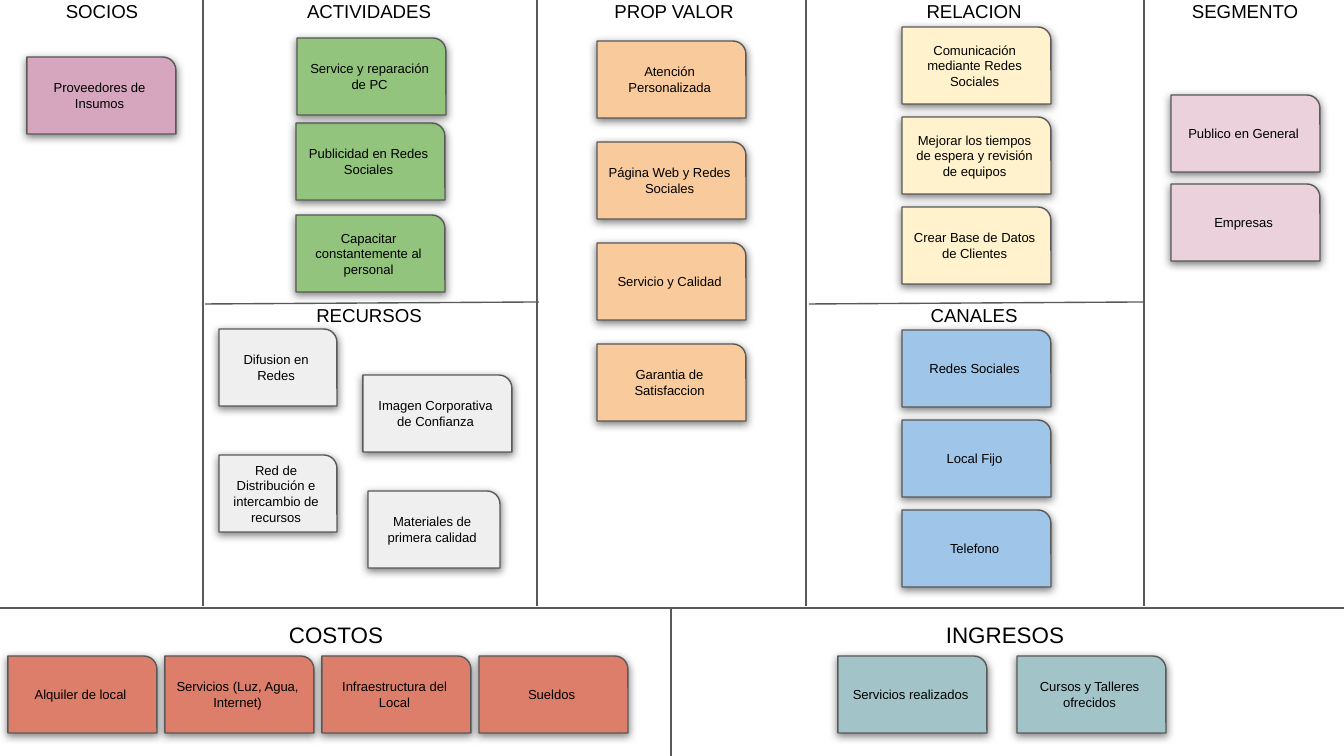
from lxml import etree
from pptx import Presentation
from pptx.dml.color import RGBColor
from pptx.enum.shapes import MSO_CONNECTOR, MSO_SHAPE
from pptx.enum.text import MSO_ANCHOR, PP_ALIGN
from pptx.oxml.ns import qn
from pptx.util import Emu, Pt

STRAIGHT = MSO_CONNECTOR.STRAIGHT
ROUND_CORNER = MSO_SHAPE.ROUND_1_RECTANGLE
CENTER = PP_ALIGN.CENTER
TOP, MIDDLE = MSO_ANCHOR.TOP, MSO_ANCHOR.MIDDLE

SCALE = 914400 / 134.4
WIDTH, HEIGHT = 1344, 756
NOTE_WIDTH, NOTE_HEIGHT = 149, 77
HEADING_WIDTH, HEADING_HEIGHT = 204, 48

BLACK = RGBColor(0x00, 0x00, 0x00)
GRAY = RGBColor(0x59, 0x59, 0x59)
SILVER = RGBColor(0xEF, 0xEF, 0xEF)
PINK = RGBColor(0xEA, 0xD1, 0xDC)
MAUVE = RGBColor(0xD5, 0xA6, 0xBD)
RED = RGBColor(0xDD, 0x7E, 0x6B)
BLUE = RGBColor(0x9F, 0xC5, 0xE8)
YELLOW = RGBColor(0xFF, 0xF2, 0xCC)
ORANGE = RGBColor(0xF9, 0xCB, 0x9C)
GREEN = RGBColor(0x93, 0xC4, 0x7D)
TEAL = RGBColor(0xA2, 0xC4, 0xC9)


def px(value):
    return Emu(round(value * SCALE))


def write(frame, text, size, anchor, side, top, bottom):
    frame.word_wrap = True
    frame.vertical_anchor = anchor
    frame.margin_left = frame.margin_right = px(side)
    frame.margin_top, frame.margin_bottom = px(top), px(bottom)
    para = frame.paragraphs[0]
    para.alignment = CENTER
    span = para.add_run()
    span.text = text
    span.font.name = "Arial"
    span.font.size = Pt(size)
    span.font.color.rgb = BLACK


class Canvas:
    """Draws the business model canvas on one slide in a shared style."""

    def __init__(self, page):
        self.shapes = page.shapes

    def outline(self, line):
        line.color.rgb = GRAY
        line.width = Pt(0.75)

    def divider(self, x1, y1, x2, y2):
        line = self.shapes.add_connector(STRAIGHT, px(x1), px(y1), px(x2), px(y2))
        self.outline(line.line)
        etree.SubElement(line._element.spPr, qn("a:effectLst"))

    def heading(self, text, x, y, size=10, top=0):
        box = self.shapes.add_textbox(px(x), px(y), px(HEADING_WIDTH), px(HEADING_HEIGHT))
        write(box.text_frame, text, size, TOP, side=13, top=top, bottom=13)

    def note(self, text, x, y, fill, width=NOTE_WIDTH):
        box = self.shapes.add_shape(ROUND_CORNER, px(x), px(y), px(width), px(NOTE_HEIGHT))
        box.adjustments[0] = 0.17
        box.fill.solid()
        box.fill.fore_color.rgb = fill
        self.outline(box.line)
        self.shadow(box)
        write(box.text_frame, text, 7, MIDDLE, side=7, top=0, bottom=0)

    def shadow(self, box):
        box.shadow.inherit = False
        effects = box._element.spPr.find(qn("a:effectLst"))
        outer = etree.SubElement(effects, qn("a:outerShdw"), blurRad=str(Pt(4.5)),
                                 dist=str(Pt(1.5)), dir="5400000", algn="bl", rotWithShape="0")
        color = etree.SubElement(outer, qn("a:srgbClr"), val=str(BLACK))
        etree.SubElement(color, qn("a:alpha"), val="50000")

    def series(self, texts, x, y, fill, across=0, down=0):
        for index, text in enumerate(texts):
            self.note(text, x + index * across, y + index * down, fill)


deck = Presentation()
deck.slide_width, deck.slide_height = px(WIDTH), px(HEIGHT)
canvas = Canvas(deck.slides.add_slide(deck.slide_layouts[6]))

canvas.divider(0, 608, WIDTH, 608)
canvas.divider(671, 608, 671, HEIGHT)
for x in (203, 537, 806, 1144):
    canvas.divider(x, 0, x, 606)
for x in (205, 809):
    canvas.divider(x, 304, x + 334, 302)

for text, x, y in (
    ("SOCIOS", 0, 0),
    ("ACTIVIDADES", 267, 0),
    ("PROP VALOR", 572, 0),
    ("RELACION", 872, 0),
    ("SEGMENTO", 1143, 0),
    ("RECURSOS", 267, 304),
    ("CANALES", 872, 304),
):
    canvas.heading(text, x, y)
for text, x in (("COSTOS", 234), ("INGRESOS", 903)):
    canvas.heading(text, x, 608, size=12, top=13)

canvas.note("Proveedores de Insumos", 27, 57, MAUVE)
canvas.series(("Publico en General", "Empresas"), 1171, 95, PINK, down=89)
canvas.series(("Comunicación mediante Redes Sociales",
               "Mejorar los tiempos de espera y revisión de equipos",
               "Crear Base de Datos de Clientes"), 902, 27, YELLOW, down=90)
canvas.series(("Redes Sociales", "Local Fijo", "Telefono"), 902, 330, BLUE, down=90)
canvas.series(("Atención Personalizada", "Página Web y Redes Sociales",
               "Servicio y Calidad", "Garantia de Satisfaccion"), 597, 41, ORANGE, down=101)
canvas.series(("Alquiler de local", "Servicios (Luz, Agua, Internet)",
               "Infraestructura del Local", "Sueldos"), 8, 656, RED, across=157)
canvas.series(("Servicios realizados", "Cursos y Talleres ofrecidos"), 838, 656, TEAL, across=179)

for text, x, y in (
    ("Publicidad en Redes Sociales", 296, 123),
    ("Capacitar constantemente al personal", 296, 215),
    ("Service y reparación de PC", 297, 38),
):
    canvas.note(text, x, y, GREEN)

for text, x, y, width in (
    ("Difusion en Redes", 219, 329, 118),
    ("Imagen Corporativa de Confianza", 363, 375, NOTE_WIDTH),
    ("Red de Distribución e intercambio de recursos", 219, 455, 118),
    ("Materiales de primera calidad", 368, 491, 132),
):
    canvas.note(text, x, y, SILVER, width)

deck.save("out.pptx")
